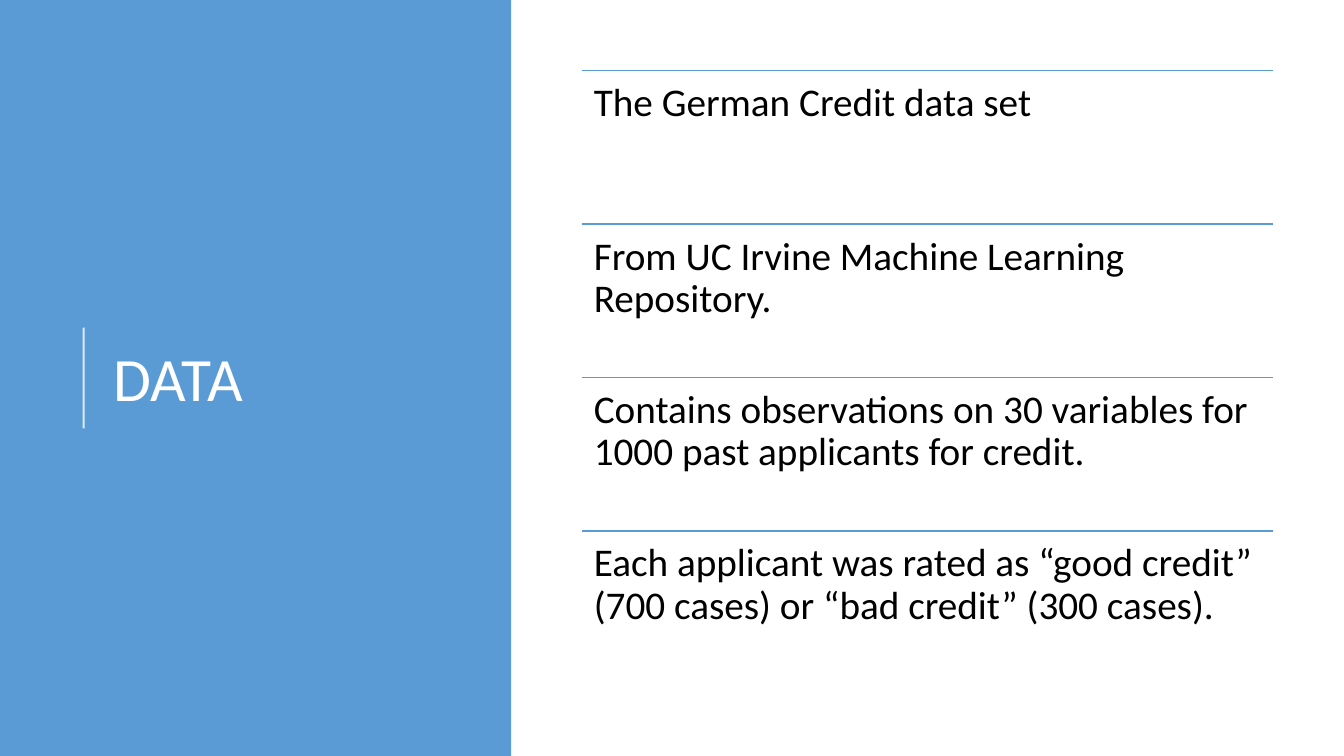
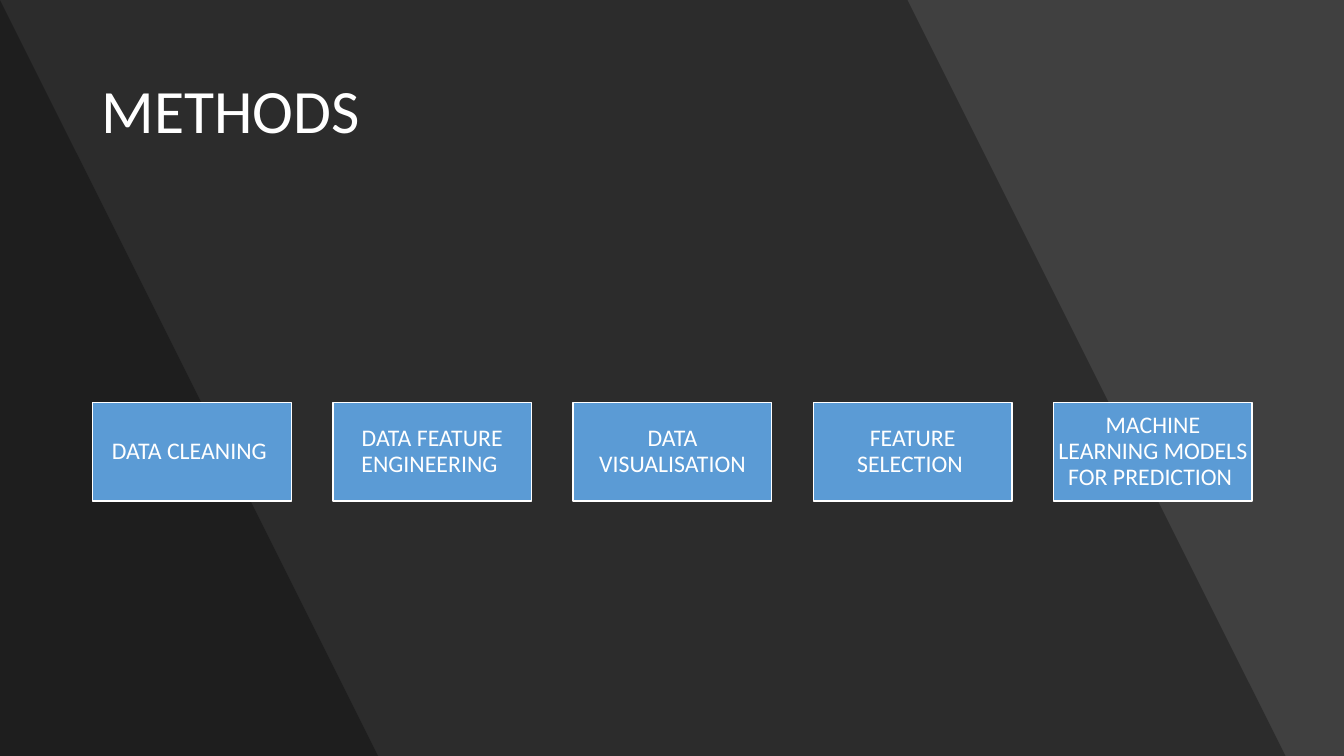
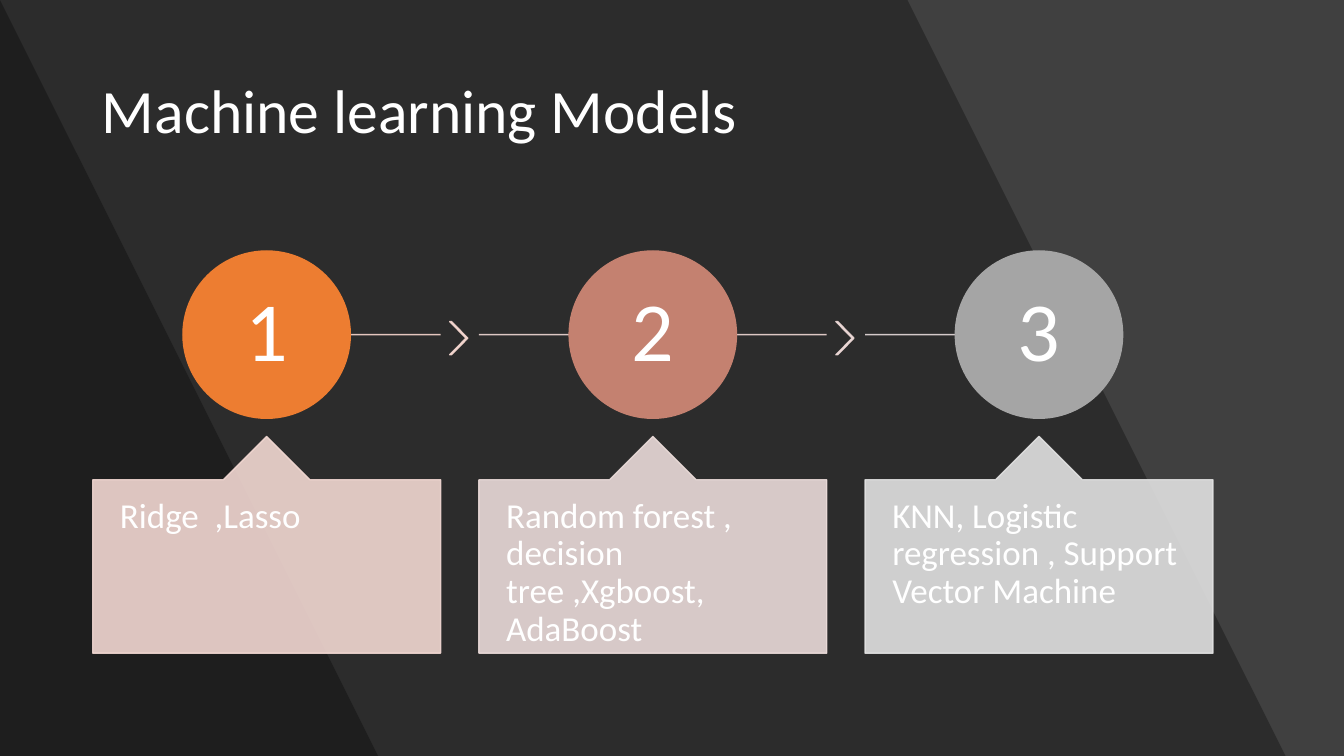
from dataclasses import dataclass

from lxml import etree
from pptx import Presentation
from pptx import util as u
from pptx.dml import color
from pptx.enum import shapes, text
from pptx.oxml import ns

FONT = "Calibri"
WHITE = "FFFFFF"
BLACK = "000000"
BLUE = "5B9BD5"
CHARCOAL = "404040"
SLIDE_WIDTH, SLIDE_HEIGHT = 13.33, 7.5
TITLE_ONLY = 5


@dataclass(frozen=True)
class Box:
    left: float
    top: float
    width: float
    height: float

    @property
    def lengths(self):
        return tuple(u.Inches(value) for value in (self.left, self.top, self.width, self.height))


@dataclass(frozen=True)
class TextStyle:
    size: float
    colour: str = WHITE
    align: text.PP_ALIGN = text.PP_ALIGN.LEFT
    anchor: text.MSO_ANCHOR = text.MSO_ANCHOR.TOP
    inset_x: float = 0.1
    inset_y: float = 0.05


@dataclass(frozen=True)
class Model:
    number: str
    names: str
    circle: str
    callout: str
    line: str
    chevron: str = ""


CENTRED = {"align": text.PP_ALIGN.CENTER, "anchor": text.MSO_ANCHOR.MIDDLE}
TITLE_STYLE = TextStyle(44, anchor=text.MSO_ANCHOR.MIDDLE)
STATEMENT_STYLE = TextStyle(28, BLACK, inset_x=0.12, inset_y=0.12)
METHOD_STYLE = TextStyle(17, inset_x=0.01, inset_y=0.01, **CENTRED)
NUMBER_STYLE = TextStyle(60, inset_x=0.06, inset_y=0.06, **CENTRED)
MODEL_STYLE = TextStyle(25, inset_x=0.27, inset_y=0.18)
WIDE_TITLE = Box(0.91, 0.4, 11.51, 1.45)

STATEMENTS = (
    "The German Credit data set",
    "From UC Irvine Machine Learning Repository.",
    "Contains observations on 30 variables for 1000 past applicants for credit.",
    "Each applicant was rated as “good credit” (700 cases) or “bad credit” (300 cases).",
)
METHODS = (
    "DATA CLEANING ",
    "DATA FEATURE ENGINEERING ",
    "DATA VISUALISATION",
    "FEATURE SELECTION ",
    "MACHINE LEARNING MODELS FOR PREDICTION ",
)
MODELS = (
    Model("1", "Ridge  ,Lasso", "ED7D31", "F2D8D2", "F8D7CE", "F5D7D0"),
    Model("2", "Random forest , decision tree ,Xgboost, AdaBoost", "C48170", "EADBD9", "F0D8D4", "EDD9D7"),
    Model("3", "KNN, Logistic regression , Support Vector Machine", "A5A5A5", "E1E1E1", "E7DCDC"),
)


def rgb(value: str) -> color.RGBColor:
    return color.RGBColor.from_string(value)


def set_opacity(shape, percent: int) -> None:
    for node in shape.element.spPr.iter(ns.qn("a:srgbClr")):
        etree.SubElement(node, ns.qn("a:alpha")).set("val", str(percent * 1000))


def paint(shape, fill: str, line: str = "", opacity: int = 100) -> None:
    shape.shadow.inherit = False
    shape.fill.solid()
    shape.fill.fore_color.rgb = rgb(fill)
    if line:
        shape.line.color.rgb = rgb(line)
        shape.line.width = u.Pt(1)
    else:
        shape.line.fill.background()
    if opacity < 100:
        set_opacity(shape, opacity)


def write(shape, content: str, style: TextStyle) -> None:
    frame = shape.text_frame
    frame.text = content
    frame.word_wrap = True
    frame.auto_size = text.MSO_AUTO_SIZE.NONE
    frame.vertical_anchor = style.anchor
    frame.margin_left = frame.margin_right = u.Inches(style.inset_x)
    frame.margin_top = frame.margin_bottom = u.Inches(style.inset_y)
    for paragraph in frame.paragraphs:
        paragraph.alignment = style.align
        paragraph.line_spacing = 0.9
        for run in paragraph.runs:
            run.font.name = FONT
            run.font.size = u.Pt(style.size)
            run.font.color.rgb = rgb(style.colour)


def add_line(slide, start: tuple[float, float], end: tuple[float, float],
             colour: str, width: float = 1, opacity: int = 100) -> None:
    points = [u.Inches(value) for value in (*start, *end)]
    connector = slide.shapes.add_connector(shapes.MSO_CONNECTOR.STRAIGHT, *points)
    connector.line.color.rgb = rgb(colour)
    connector.line.width = u.Pt(width)
    etree.SubElement(connector.element.spPr, ns.qn("a:effectLst"))
    if opacity < 100:
        set_opacity(connector, opacity)


def add_preset(slide, kind: shapes.MSO_SHAPE, box: Box, fill: str, line: str = "",
               opacity: int = 100, adjustments: tuple[float, ...] = ()):
    shape = slide.shapes.add_shape(kind, *box.lengths)
    for index, value in enumerate(adjustments):
        shape.adjustments[index] = value
    paint(shape, fill, line, opacity)
    return shape


def place_title(slide, content: str, box: Box) -> None:
    title = slide.shapes.title
    title.left, title.top, title.width, title.height = box.lengths
    write(title, content, TITLE_STYLE)
    slide.shapes.element.append(title.element)


def new_slide(presentation, background: str):
    slide = presentation.slides.add_slide(presentation.slide_layouts[TITLE_ONLY])
    slide.background.fill.solid()
    slide.background.fill.fore_color.rgb = rgb(background)
    return slide


def new_dark_slide(presentation, title: str):
    slide = new_slide(presentation, CHARCOAL)
    for top_edge, bottom_edge in ((9.42, 12.89), (0.44, 3.92)):
        builder = slide.shapes.build_freeform(0, 0, scale=u.Inches(1))
        builder.add_line_segments(
            [(top_edge, 0), (bottom_edge, SLIDE_HEIGHT), (0, SLIDE_HEIGHT)], close=True)
        paint(builder.convert_to_shape(), BLACK, opacity=30)
    place_title(slide, title, WIDE_TITLE)
    return slide


def build_data_slide(presentation) -> None:
    slide = new_slide(presentation, WHITE)
    add_preset(slide, shapes.MSO_SHAPE.RECTANGLE, Box(0, 0, 5.07, SLIDE_HEIGHT), BLUE)
    add_line(slide, (0.83, 3.25), (0.83, 4.25), WHITE, 1.5, 80)
    place_title(slide, "DATA", Box(1.03, 0.78, 3.43, 6.02))
    left, top, width, bottom = 5.77, 0.7, 6.86, 6.79
    row_height = (bottom - top) / len(STATEMENTS)
    for index, statement in enumerate(STATEMENTS):
        row = Box(left, top + index * row_height, width, row_height)
        add_line(slide, (left, row.top), (left + width, row.top), BLUE)
        write(slide.shapes.add_textbox(*row.lengths), statement, STATEMENT_STYLE)


def build_methods_slide(presentation) -> None:
    slide = new_dark_slide(presentation, "METHODS")
    left, right, width = 0.92, 12.42, 1.97
    pitch = (right - left - width) / (len(METHODS) - 1)
    for index, method in enumerate(METHODS):
        box = Box(left + index * pitch, 3.99, width, 0.98)
        shape = add_preset(slide, shapes.MSO_SHAPE.RECTANGLE, box, BLUE, WHITE)
        write(shape, method, METHOD_STYLE)


def build_models_slide(presentation) -> None:
    slide = new_dark_slide(presentation, "Machine learning Models")
    width, pitch, diameter, middle = 3.45, 3.83, 1.66, 3.32
    last = len(MODELS) - 1
    for index, model in enumerate(MODELS):
        left = 0.92 + index * pitch
        centre = left + width / 2
        line_start = left if index > 0 else centre
        line_end = left + width if index < last else centre
        add_line(slide, (line_start, middle), (line_end, middle), model.line, opacity=90)
        if model.chevron:
            add_preset(slide, shapes.MSO_SHAPE.CHEVRON, Box(left + 3.54, 3.19, 0.18, 0.33),
                       model.chevron, model.chevron, 90, (0.9,))
        circle_box = Box(centre - diameter / 2, middle - diameter / 2, diameter, diameter)
        circle = add_preset(slide, shapes.MSO_SHAPE.OVAL, circle_box, model.circle, model.circle)
        write(circle, model.number, NUMBER_STYLE)
        callout = add_preset(slide, shapes.MSO_SHAPE.UP_ARROW_CALLOUT, Box(left, 4.33, width, 2.15),
                             model.callout, model.callout, 90, (0.5, 0.2, 0.2, 0.8))
        write(callout, model.names, MODEL_STYLE)


def main() -> None:
    presentation = Presentation()
    presentation.slide_width = u.Inches(SLIDE_WIDTH)
    presentation.slide_height = u.Inches(SLIDE_HEIGHT)
    build_data_slide(presentation)
    build_methods_slide(presentation)
    build_models_slide(presentation)
    presentation.save("out.pptx")


if __name__ == "__main__":
    main()
